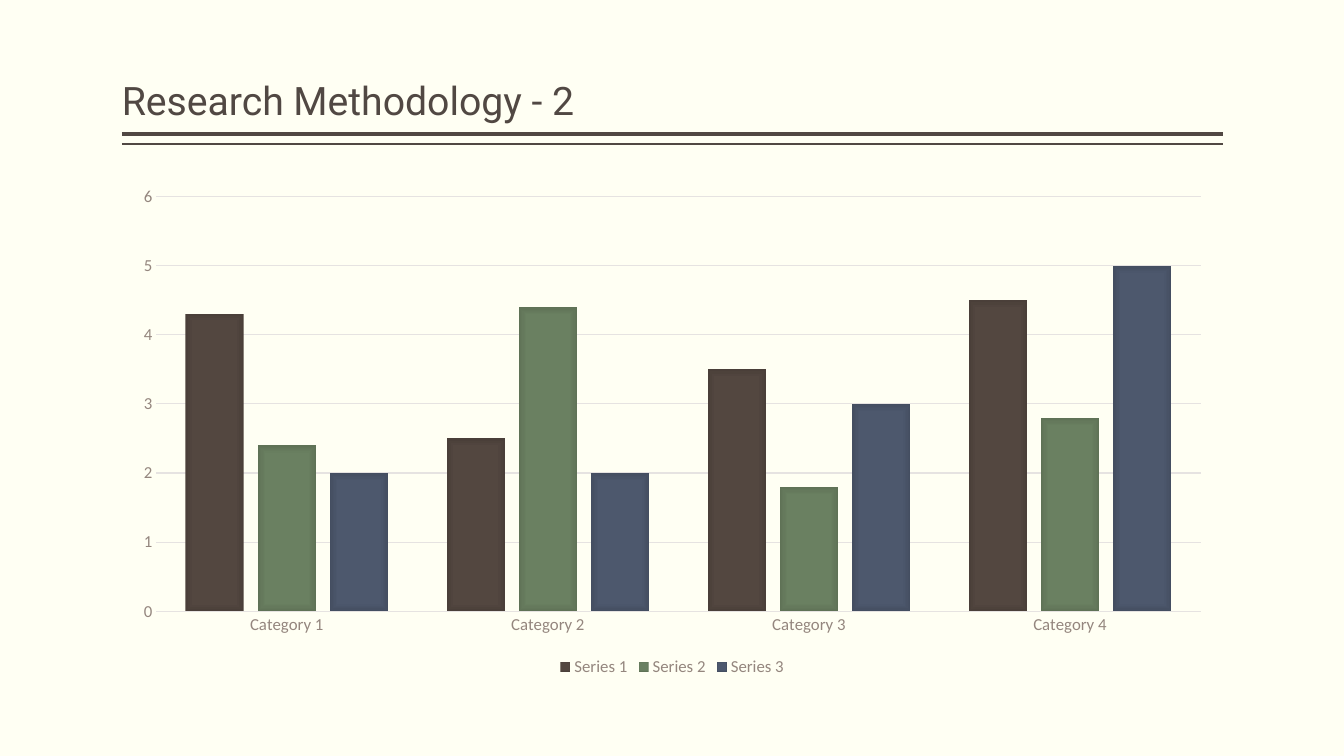
import dataclasses

import pptx
import pptx.chart.data
import pptx.dml.color
import pptx.enum.chart
import pptx.enum.shapes
import pptx.enum.text
import pptx.oxml
import pptx.oxml.ns
import pptx.util

Cm = pptx.util.Cm
Pt = pptx.util.Pt
RGBColor = pptx.dml.color.RGBColor

IVORY = RGBColor(0xFF, 0xFF, 0xF3)
BROWN = RGBColor(0x51, 0x48, 0x43)
TAUPE = RGBColor(0x94, 0x86, 0x7E)
PALE = RGBColor(0xE6, 0xE3, 0xE1)

LEFT, WIDTH = Cm(3.07), Cm(27.74)
CATEGORIES = ["Category 1", "Category 2", "Category 3", "Category 4"]
STOPS = (0, 71, 100)


@dataclasses.dataclass
class Rule:
    y: float
    weight: float


@dataclasses.dataclass
class Bars:
    name: str
    values: tuple[float, ...]
    shades: tuple[RGBColor, ...]


RULES = [Rule(3.38, 3), Rule(3.63, 1)]
SERIES = [
    Bars("Series 1", (4.3, 2.5, 3.5, 4.5),
         (RGBColor(0x54, 0x47, 0x40), RGBColor(0x53, 0x47, 0x40), RGBColor(0x4A, 0x3F, 0x39))),
    Bars("Series 2", (2.4, 4.4, 1.8, 2.8),
         (RGBColor(0x6B, 0x81, 0x62), RGBColor(0x6A, 0x80, 0x61), RGBColor(0x5F, 0x72, 0x56))),
    Bars("Series 3", (2, 2, 3, 5),
         (RGBColor(0x4E, 0x59, 0x6E), RGBColor(0x4D, 0x58, 0x6D), RGBColor(0x44, 0x4E, 0x61))),
]


def set_font(font, name: str, size: float, color: RGBColor) -> None:
    font.name = name
    font.size = Pt(size)
    font.bold = False
    font.color.rgb = color


def add_title(s, text: str) -> None:
    sp = s.shapes.title
    sp.left, sp.top, sp.width, sp.height = LEFT, Cm(0.2), WIDTH, Cm(3.05)
    tf = sp.text_frame
    tf.text = text
    tf.word_wrap = True
    tf.auto_size = pptx.enum.text.MSO_AUTO_SIZE.NONE
    tf.vertical_anchor = pptx.enum.text.MSO_ANCHOR.BOTTOM
    tf.margin_left = tf.margin_right = 0
    p = tf.paragraphs[0]
    p.alignment = pptx.enum.text.PP_ALIGN.LEFT
    p.line_spacing = 0.9
    set_font(p.runs[0].font, "Roboto", 28, BROWN)


def add_rule(s, rule: Rule) -> None:
    line = s.shapes.add_connector(pptx.enum.shapes.MSO_CONNECTOR.STRAIGHT,
                                  LEFT, Cm(rule.y), LEFT + WIDTH, Cm(rule.y))
    line.line.color.rgb = BROWN
    line.line.width = Pt(rule.weight)
    line._element.spPr.append(pptx.oxml.parse_xml(
        f"<a:effectLst {pptx.oxml.ns.nsdecls('a')}/>"))


def shade_from_centre(series, shades: tuple[RGBColor, ...]) -> None:
    """Fill the bars with a rectangular gradient that darkens at the edges."""
    series.format.fill.solid()
    stops = "".join(f'<a:gs pos="{pos * 1000}"><a:srgbClr val="{shade}"/></a:gs>'
                    for pos, shade in zip(STOPS, shades))
    gradient = pptx.oxml.parse_xml(
        f'<a:gradFill {pptx.oxml.ns.nsdecls("a")} rotWithShape="1"><a:gsLst>{stops}</a:gsLst>'
        '<a:path path="rect"><a:fillToRect l="50000" t="50000" r="50000" b="50000"/></a:path>'
        '</a:gradFill>')
    solid = series._element.find(".//" + pptx.oxml.ns.qn("a:solidFill"))
    solid.getparent().replace(solid, gradient)


def format_axis(axis) -> None:
    axis.major_tick_mark = axis.minor_tick_mark = pptx.enum.chart.XL_TICK_MARK.NONE
    set_font(axis.tick_labels.font, "Calibri", 12, TAUPE)


def add_bar_chart(s) -> None:
    data = pptx.chart.data.CategoryChartData()
    data.categories = CATEGORIES
    for bars in SERIES:
        data.add_series(bars.name, bars.values)
    chart = s.shapes.add_chart(pptx.enum.chart.XL_CHART_TYPE.COLUMN_CLUSTERED,
                               LEFT, Cm(4.45), WIDTH, Cm(12.7), data).chart
    set_font(chart.font, "Calibri", 10, BROWN)
    chart.has_title = False

    plot = chart.plots[0]
    plot.vary_by_categories = False
    plot.gap_width = 100
    plot.overlap = -24
    for series, bars in zip(plot.series, SERIES):
        shade_from_centre(series, bars.shades)

    format_axis(chart.category_axis)
    chart.category_axis.format.line.color.rgb = PALE
    chart.category_axis.format.line.width = Pt(1)

    values = chart.value_axis
    format_axis(values)
    values.minimum_scale, values.maximum_scale, values.major_unit = 0, 6, 1
    values.format.line.fill.background()
    values.major_gridlines.format.line.color.rgb = PALE
    values.major_gridlines.format.line.width = Pt(0.75)

    chart.has_legend = True
    chart.legend.position = pptx.enum.chart.XL_LEGEND_POSITION.BOTTOM
    chart.legend.include_in_layout = False
    set_font(chart.legend.font, "Calibri", 12, TAUPE)


def main() -> None:
    prs = pptx.Presentation()
    prs.slide_width, prs.slide_height = Cm(33.87), Cm(19.05)
    s = prs.slides.add_slide(prs.slide_layouts.get_by_name("Title Only"))
    s.background.fill.solid()
    s.background.fill.fore_color.rgb = IVORY
    for rule in RULES:
        add_rule(s, rule)
    add_title(s, "Research Methodology - 2")
    add_bar_chart(s)
    prs.save("out.pptx")


if __name__ == "__main__":
    main()
